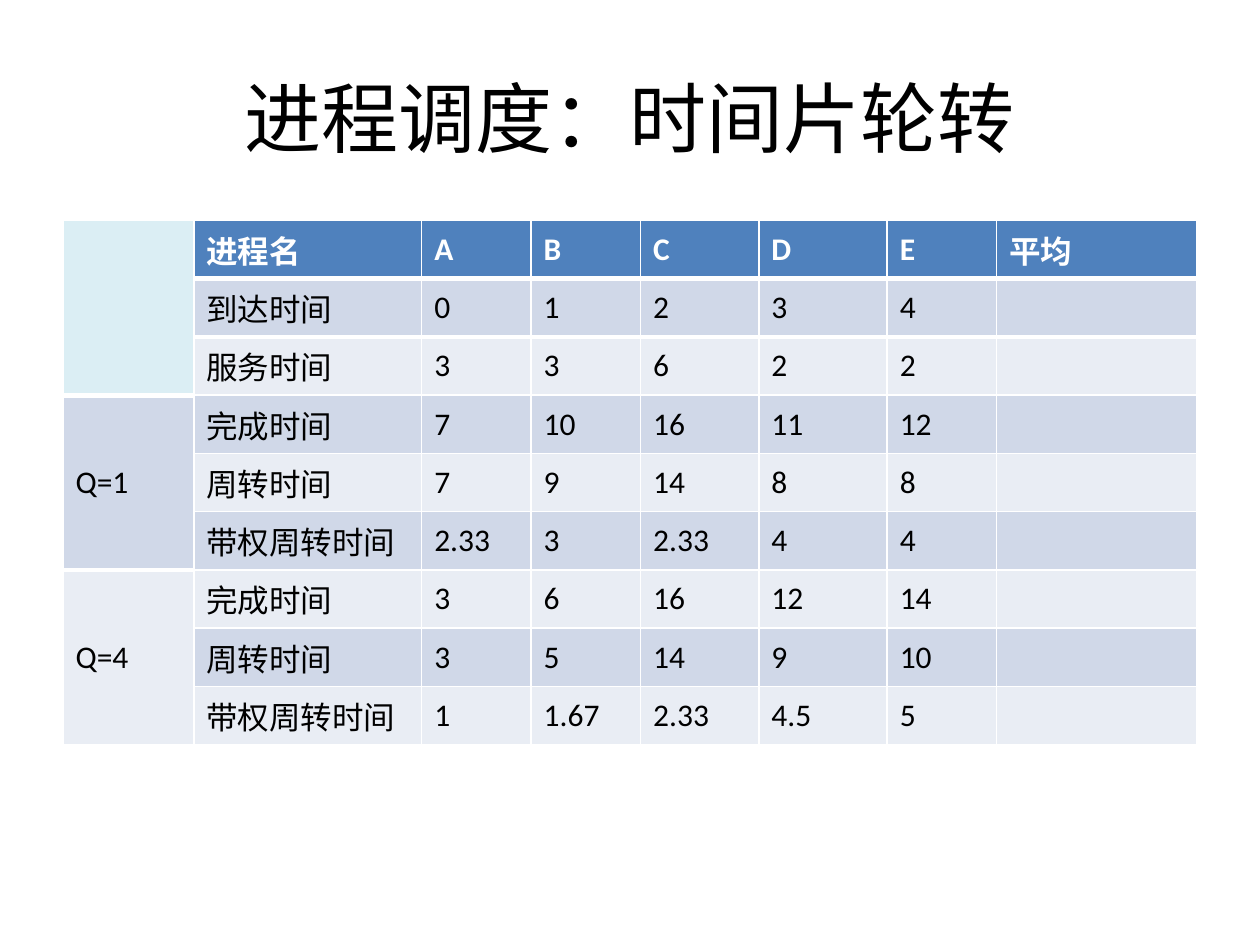
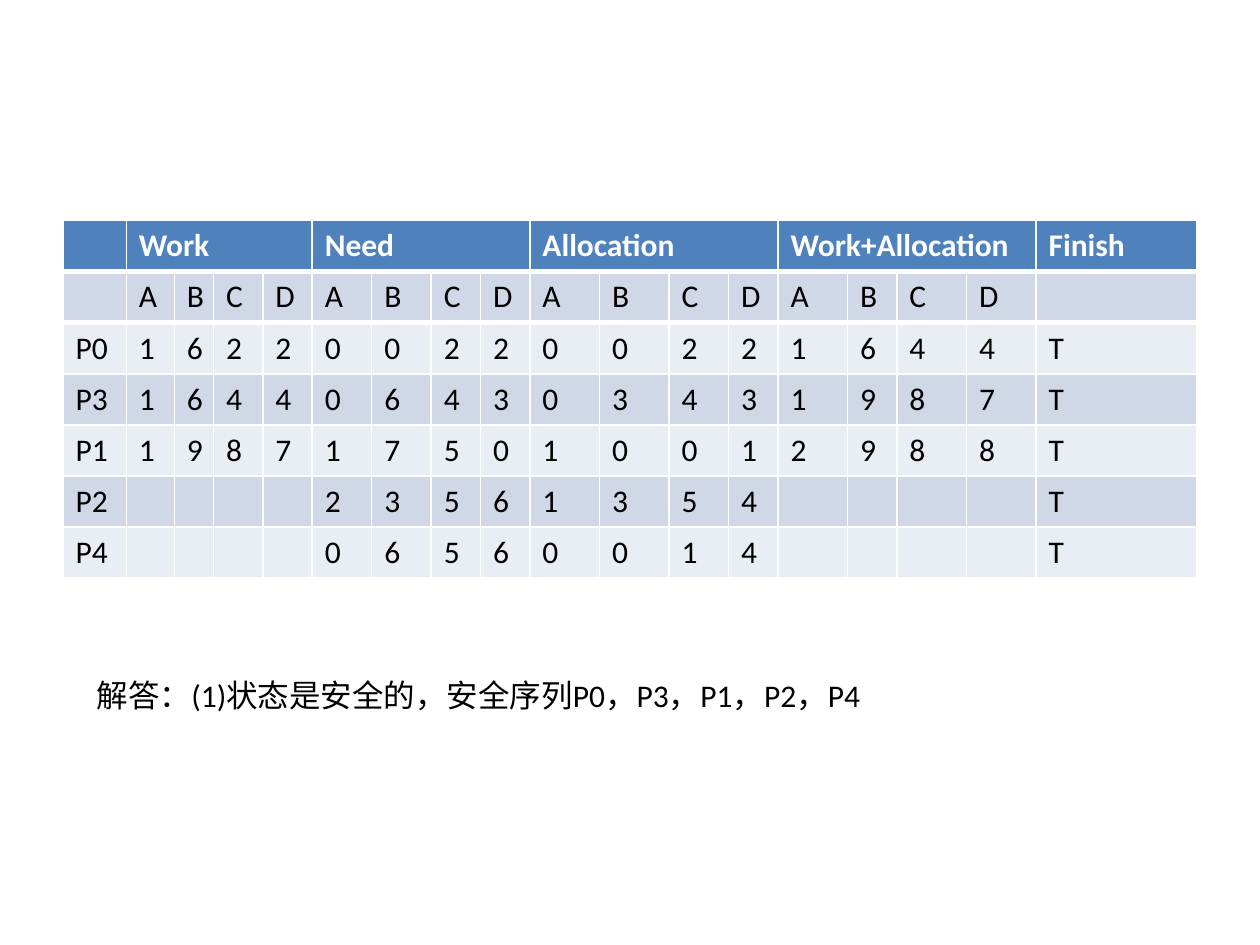
from lxml.etree import SubElement as Sub
from pptx import Presentation
from pptx.dml.color import RGBColor as Rgb
from pptx.enum.text import MSO_ANCHOR as Anchor, MSO_AUTO_SIZE as Fit, PP_ALIGN as Align
from pptx.oxml.ns import qn
from pptx.util import Inches, Pt

# Content: round robin
TITLE = "进程调度：时间片轮转"
TURNS = [
    ["", "进程名", "A", "B", "C", "D", "E", "平均"],
    ["", "到达时间", "0", "1", "2", "3", "4", ""],
    ["", "服务时间", "3", "3", "6", "2", "2", ""],
    ["Q=1", "完成时间", "7", "10", "16", "11", "12", ""],
    ["", "周转时间", "7", "9", "14", "8", "8", ""],
    ["", "带权周转时间", "2.33", "3", "2.33", "4", "4", ""],
    ["Q=4", "完成时间", "3", "6", "16", "12", "14", ""],
    ["", "周转时间", "3", "5", "14", "9", "10", ""],
    ["", "带权周转时间", "1", "1.67", "2.33", "4.5", "5", ""],
]
TURN_COLS = [1.04, 1.81, 0.87, 0.87, 0.94, 1.02, 0.87, 1.59]
TURN_HIGH = 4.16

# Content: safe sequence, one digit for each resource
GROUPS = ["Work", "Need", "Allocation", "Work+Allocation"]
SAFE = [
    ("", ["ABCD"] * 4, ""),
    ("P0", ["1622", "0022", "0022", "1644"], "T"),
    ("P3", ["1644", "0643", "0343", "1987"], "T"),
    ("P1", ["1987", "1750", "1001", "2988"], "T"),
    ("P2", ["", "2356", "1354", ""], "T"),
    ("P4", ["", "0656", "0014", ""], "T"),
]
SAFE_COLS = [0.5, 0.38, 0.31, 0.39, 0.39, 0.47, 0.47, 0.39, 0.39,
             0.55, 0.55, 0.47, 0.39, 0.55, 0.39, 0.55, 0.55, 1.27]
SAFE_HIGH = 2.84
ANSWER = "解答：(1)状态是安全的，安全序列P0，P3，P1，P2，P4"

# Shared look
COLOR = {"head": "4F81BD", "odd": "D0D8E8", "even": "E9EDF4",
         "corner": "DBEEF4", "ink": "000000", "white": "FFFFFF"}
FONT = "Calibri"
WIDE, HIGH = 10, 7.5
EDGE, TOP = 0.05 * WIDE, 1.75
SPAN = WIDE - 2 * EDGE

deck = Presentation()
deck.slide_width, deck.slide_height = Inches(WIDE), Inches(HIGH)


def style(par, size=18, color="ink", bold=False):
    font = par.font
    font.name, font.size, font.bold = FONT, Pt(size), bold
    font.color.rgb = Rgb.from_string(COLOR[color])


def paint(cell, color):
    cell.fill.solid()
    cell.fill.fore_color.rgb = Rgb.from_string(COLOR[color])


def rule(cell, side, size=3):
    """White border on one side; borders precede the fill in the XML."""
    props = cell._tc.get_or_add_tcPr()
    line = Sub(props, qn("a:ln" + side), w=str(Pt(size)))
    fill = Sub(line, qn("a:solidFill"))
    Sub(fill, qn("a:srgbClr"), val=COLOR["white"])
    props.insert(0, line)


def divide(grid, row, cols):
    """Thick line under the given row."""
    for c in cols:
        rule(grid.cell(row, c), "B")
        rule(grid.cell(row + 1, c), "T")


def new_slide():
    return deck.slides.add_slide(deck.slide_layouts[6])


def add_text(slide, text, left, top, wide, high, size=18):
    box = slide.shapes.add_textbox(*map(Inches, (left, top, wide, high)))
    frame = box.text_frame
    frame.word_wrap = True
    frame.text = text
    style(frame.paragraphs[0], size)
    return frame


def add_grid(slide, rows, cols, high, anchor):
    """Table with a header row and banded body rows."""
    grid = slide.shapes.add_table(
        len(rows), len(cols), Inches(EDGE), Inches(TOP),
        Inches(SPAN), Inches(high)).table
    for col, wide in zip(grid.columns, cols):
        col.width = Inches(SPAN * wide / sum(cols))
    for r, row in enumerate(rows):
        band = "head" if r == 0 else "odd" if r % 2 else "even"
        for c, text in enumerate(row):
            cell = grid.cell(r, c)
            cell.text = text
            cell.vertical_anchor = anchor
            paint(cell, band)
            style(cell.text_frame.paragraphs[0],
                  color="ink" if r else "white", bold=r == 0)
    return grid


# Slide 1: round robin
slide = new_slide()
head = add_text(slide, TITLE, EDGE, 0.3, SPAN, 1.25, 44)
head.vertical_anchor = Anchor.MIDDLE
head.paragraphs[0].alignment = Align.CENTER
grid = add_grid(slide, TURNS, TURN_COLS, TURN_HIGH, Anchor.MIDDLE)
divide(grid, 0, range(1, len(TURN_COLS)))
divide(grid, 2, [0])
rule(grid.cell(0, 0), "B")
for r in range(0, len(TURNS), 3):
    grid.cell(r, 0).merge(grid.cell(r + 2, 0))
paint(grid.cell(0, 0), "corner")

# Slide 2: safe sequence
slide = new_slide()
rows = [["", *(t for g in GROUPS for t in (g, "", "", "")), "Finish"]]
for name, parts, done in SAFE:
    marks = "".join(p.ljust(4) for p in parts)
    rows.append([name, *(m.strip() for m in marks), done])
grid = add_grid(slide, rows, SAFE_COLS, SAFE_HIGH, Anchor.TOP)
divide(grid, 0, range(len(SAFE_COLS)))
for c in range(1, 4 * len(GROUPS), 4):
    grid.cell(0, c).merge(grid.cell(0, c + 3))
note = add_text(slide, ANSWER, 0.67, 5.32, 6.32, 0.4)
note.auto_size = Fit.SHAPE_TO_FIT_TEXT

deck.save("out.pptx")
